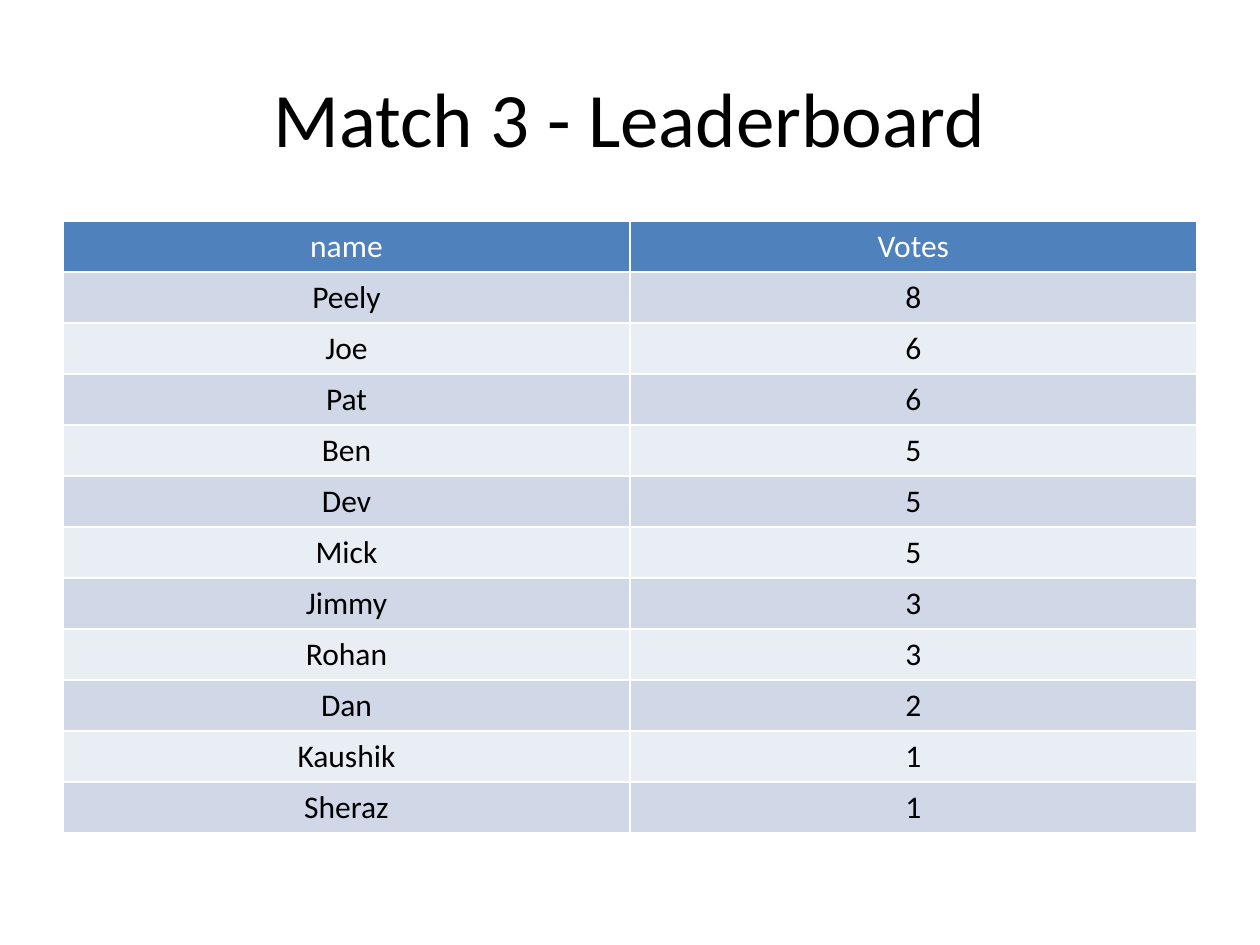
import pptx
import pptx.util
import pptx.dml.color
import pptx.enum.text
import pptx.oxml
import pptx.oxml.ns
import lxml.etree

PX = 914400 // 126
FONT = "Calibri"
COLORS = {"text": "000000", "header_text": "FFFFFF", "header": "4F81BD",
          "odd": "D0D8E8", "even": "E9EDF4", "border": "FFFFFF"}
STANDINGS = [("name", "Votes"), ("Peely", 8), ("Joe", 6), ("Pat", 6),
             ("Ben", 5), ("Dev", 5), ("Mick", 5), ("Jimmy", 3),
             ("Rohan", 3), ("Dan", 2), ("Kaushik", 1), ("Sheraz", 1)]


def px(length):
    return pptx.util.Emu(length * PX)


def rgb(name):
    return pptx.dml.color.RGBColor.from_string(COLORS[name])


def write(frame, text, size, color):
    paragraph = frame.paragraphs[0]
    paragraph.alignment = pptx.enum.text.PP_ALIGN.CENTER
    run = paragraph.add_run()
    run.text = text
    run.font.name = FONT
    run.font.size = pptx.util.Pt(size)
    run.font.bold = False
    run.font.color.rgb = rgb(color)


def add_borders(cell, width):
    properties = cell._tc.get_or_add_tcPr()
    # Border lines must come before the cell fill
    for position, side in enumerate(("lnL", "lnR", "lnT", "lnB")):
        line = pptx.oxml.parse_xml(
            f'<a:{side} {pptx.oxml.ns.nsdecls("a")} w="{pptx.util.Pt(width)}">'
            f'<a:solidFill><a:srgbClr val="{COLORS["border"]}"/></a:solidFill>'
            f'</a:{side}>')
        properties.insert(position, line)


def add_title(slide, left, top, width, height, text):
    title = slide.shapes.add_textbox(px(left), px(top), px(width), px(height))
    title.text_frame.word_wrap = True
    title.text_frame.vertical_anchor = pptx.enum.text.MSO_ANCHOR.MIDDLE
    write(title.text_frame, text, 44, "text")


def add_leaderboard(slide, left, top, width, height, standings):
    rows, columns = len(standings), len(standings[0])
    leaderboard = slide.shapes.add_table(
        rows, columns, px(left), px(top), px(width), px(height)).table
    for column in leaderboard.columns:
        column.width = px(width // columns)
    for r, entry in enumerate(standings):
        leaderboard.rows[r].height = px(height // rows)
        band = "header" if r == 0 else "odd" if r % 2 else "even"
        for c, value in enumerate(entry):
            cell = leaderboard.cell(r, c)
            cell.fill.solid()
            cell.fill.fore_color.rgb = rgb(band)
            add_borders(cell, 1)
            write(cell.text_frame, str(value), 18,
                  "header_text" if r == 0 else "text")


deck = pptx.Presentation()
deck.slide_width, deck.slide_height = px(1260), px(945)
slide = deck.slides.add_slide(deck.slide_layouts[6])

# Heading
add_title(slide, 63, 38, 1134, 158, "Match 3 - Leaderboard")

# Votes table
add_leaderboard(slide, 63, 221, 1134, 612, STANDINGS)

deck.save("out.pptx")
